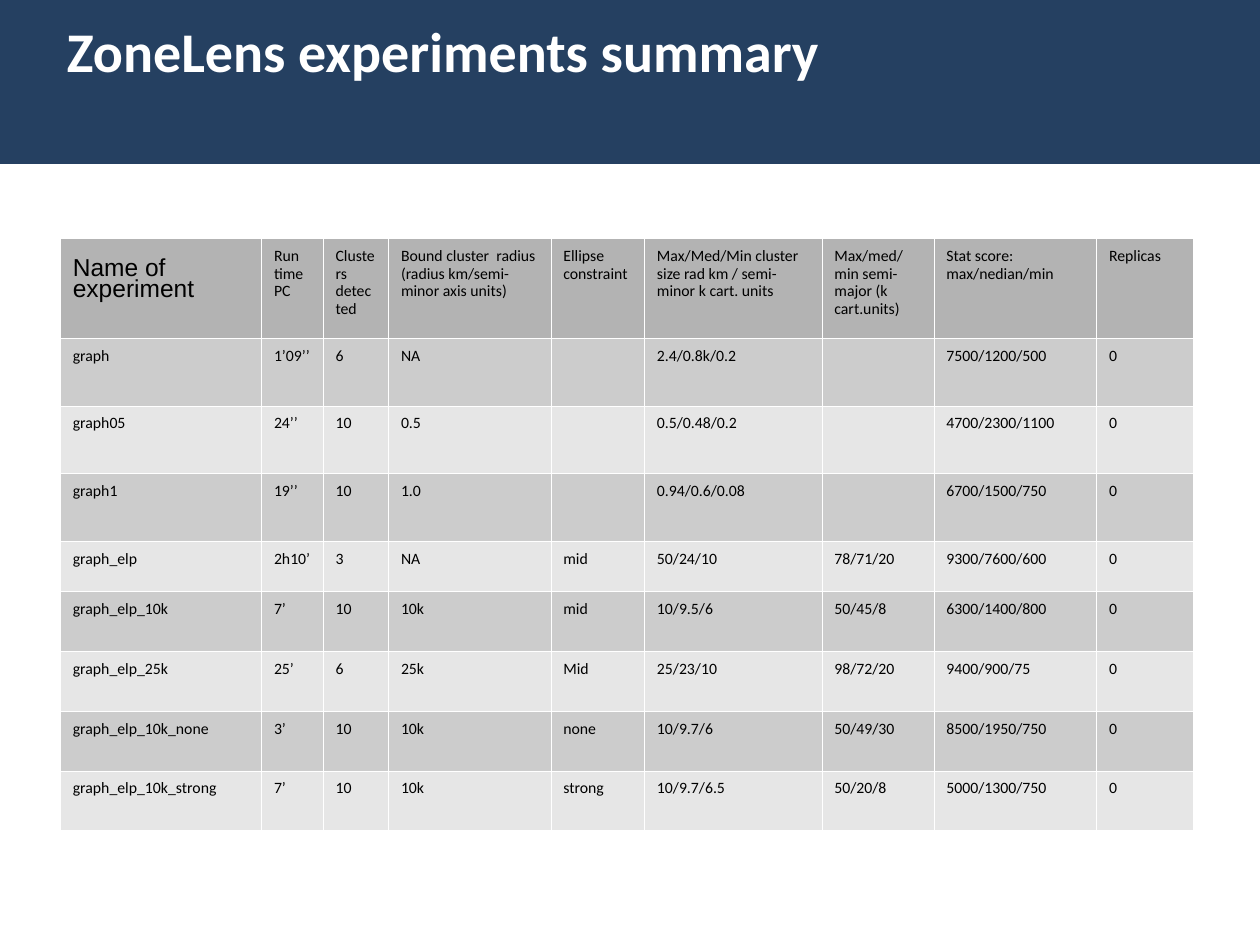
from lxml import etree
from pptx import Presentation
from pptx.dml.color import RGBColor
from pptx.enum import shapes, text
from pptx.oxml import ns
from pptx.util import Pt

NAVY = RGBColor(0x25, 0x40, 0x61)
WHITE = RGBColor(0xFF, 0xFF, 0xFF)
BLACK = RGBColor(0x00, 0x00, 0x00)
HEADER_GREY = RGBColor(0xB3, 0xB3, 0xB3)
ROW_GREYS = (RGBColor(0xCC, 0xCC, 0xCC), RGBColor(0xE6, 0xE6, 0xE6))

TITLE_FONT = {"name": "Calibri", "size": Pt(32), "bold": True}
CELL_FONT = {"name": "Calibri", "size": Pt(9), "bold": False}
CORNER_FONT = {"name": "Arial", "size": Pt(14), "bold": False}
BORDER_WIDTH = Pt(0.06)

COLUMN_WIDTHS = (115, 35.2, 37.4, 92.8, 53.5, 101.4, 64, 93, 55)
ROW_HEIGHTS = (57, 38.6, 38.6, 38.6, 28.6, 34.2, 34.2, 34.2, 34)
EXPERIMENTS = (
    ("Name of experiment", "Run time PC", "Clusters detected",
     "Bound cluster  radius (radius km/semi-minor axis units)",
     "Ellipse constraint",
     "Max/Med/Min cluster size rad km / semi-minor k cart. units",
     "Max/med/min semi-major (k cart.units)",
     "Stat score:  max/nedian/min", "Replicas"),
    ("graph", "1’09’’", "6", "NA", "", "2.4/0.8k/0.2", "", "7500/1200/500", "0"),
    ("graph05", "24’’", "10", "0.5", "", "0.5/0.48/0.2", "", "4700/2300/1100", "0"),
    ("graph1", "19’’", "10", "1.0", "", "0.94/0.6/0.08", "", "6700/1500/750", "0"),
    ("graph_elp", "2h10’", "3", "NA", "mid", "50/24/10", "78/71/20",
     "9300/7600/600", "0"),
    ("graph_elp_10k", "7’", "10", "10k", "mid", "10/9.5/6", "50/45/8",
     "6300/1400/800", "0"),
    ("graph_elp_25k", "25’", "6", "25k", "Mid", "25/23/10", "98/72/20",
     "9400/900/75", "0"),
    ("graph_elp_10k_none", "3’", "10", "10k", "none", "10/9.7/6", "50/49/30",
     "8500/1950/750", "0"),
    ("graph_elp_10k_strong", "7’", "10", "10k", "strong", "10/9.7/6.5", "50/20/8",
     "5000/1300/750", "0"),
)


def apply_font(font, values, color):
    for name, value in values.items():
        setattr(font, name, value)
    font.color.rgb = color


def add_borders(cell):
    """Draw a thin white line on each side of the cell."""
    properties = cell._tc.get_or_add_tcPr()
    for index, side in enumerate(("lnL", "lnR", "lnT", "lnB")):
        line = etree.Element(ns.qn(f"a:{side}"), w=str(BORDER_WIDTH))
        fill = etree.SubElement(line, ns.qn("a:solidFill"))
        etree.SubElement(fill, ns.qn("a:srgbClr"), val=str(WHITE))
        properties.insert(index, line)


def add_title_band(slide, left, top, width, height):
    # Navy band, behind the title
    band = slide.shapes.add_shape(
        shapes.MSO_SHAPE.RECTANGLE, Pt(left), Pt(top), Pt(width), Pt(height))
    band.shadow.inherit = False
    band.fill.solid()
    band.fill.fore_color.rgb = NAVY
    band.line.fill.background()
    slide.shapes._spTree.insert(2, band._element)

    # Title, running to the right edge of the band
    title = slide.shapes.title
    indent = 31
    title.left, title.top = Pt(left + indent), Pt(top + 6.5)
    title.width, title.height = Pt(width - indent), Pt(45.4)
    title.fill.solid()
    title.fill.fore_color.rgb = NAVY
    frame = title.text_frame
    frame.word_wrap = True
    frame.auto_size = text.MSO_AUTO_SIZE.NONE
    frame.vertical_anchor = text.MSO_ANCHOR.TOP
    paragraph = frame.paragraphs[0]
    paragraph.alignment = text.PP_ALIGN.LEFT
    run = paragraph.add_run()
    run.text = "ZoneLens experiments summary"
    apply_font(run.font, TITLE_FONT, WHITE)


def fill_cell(cell, label, color, is_corner):
    cell.fill.solid()
    cell.fill.fore_color.rgb = color
    add_borders(cell)
    cell.margin_top = Pt(12.2 if is_corner else 5.2)
    if label:
        paragraph = cell.text_frame.paragraphs[0]
        paragraph.line_spacing = 0.76 if is_corner else 0.92
        run = paragraph.add_run()
        run.text = label
        apply_font(run.font, CORNER_FONT if is_corner else CELL_FONT, BLACK)


def add_experiment_table(slide, left, top, width, height):
    table = slide.shapes.add_table(
        len(ROW_HEIGHTS), len(COLUMN_WIDTHS),
        Pt(left), Pt(top), Pt(width), Pt(height)).table
    for column, share in zip(table.columns, COLUMN_WIDTHS):
        column.width = Pt(width * share / sum(COLUMN_WIDTHS))
    for row, share in zip(table.rows, ROW_HEIGHTS):
        row.height = Pt(height * share / sum(ROW_HEIGHTS))

    # Grey header, then alternating row shades
    for row_index, labels in enumerate(EXPERIMENTS):
        color = ROW_GREYS[(row_index - 1) % 2] if row_index else HEADER_GREY
        for column_index, label in enumerate(labels):
            fill_cell(table.cell(row_index, column_index), label, color,
                      is_corner=row_index == column_index == 0)


def main():
    presentation = Presentation()
    presentation.slide_width, presentation.slide_height = Pt(720), Pt(540)
    slide = presentation.slides.add_slide(presentation.slide_layouts[5])
    add_title_band(slide, 0, -0.7, 720, 94.3)
    add_experiment_table(slide, 34.4, 136.2, 647.3, 338.4)
    presentation.save("out.pptx")


if __name__ == "__main__":
    main()
